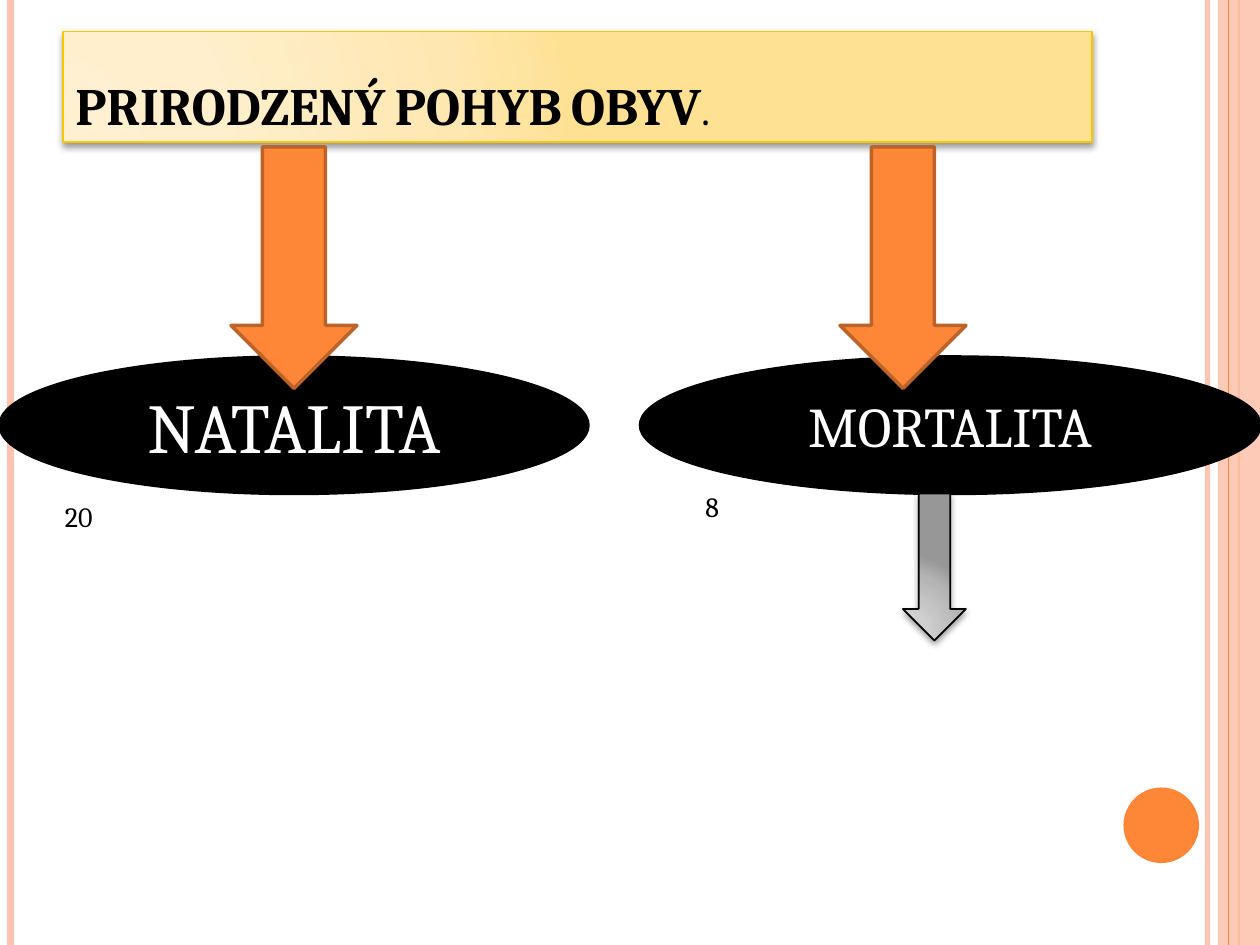
import pptx
import pptx.util
import pptx.dml.color
import pptx.enum.shapes
import pptx.enum.text
import pptx.oxml
import pptx.oxml.ns

RGB = pptx.dml.color.RGBColor
SHAPE = pptx.enum.shapes.MSO_SHAPE
ANCHOR = pptx.enum.text.MSO_ANCHOR
ALIGN = pptx.enum.text.PP_ALIGN
qn = pptx.oxml.ns.qn

ORANGE = RGB(0xFE, 0x86, 0x37)
DARK_ORANGE = RGB(0xBC, 0x63, 0x29)
PEACH = RGB(0xFE, 0xC3, 0xAE)
GOLD = RGB(0xF8, 0xC7, 0x00)
BLACK = RGB(0, 0, 0)
WHITE = RGB(0xFF, 0xFF, 0xFF)
CREAM = [(0, RGB(0xFF, 0xF0, 0xD1)), (30, RGB(0xFF, 0xEF, 0xCC)),
         (75, RGB(0xFF, 0xE7, 0xB1)), (100, RGB(0xFF, 0xE1, 0x93))]
GREY = [(0, RGB(0xD3, 0xD3, 0xD3)), (30, RGB(0xCF, 0xCF, 0xCF)),
        (75, RGB(0xB4, 0xB4, 0xB4)), (100, RGB(0x97, 0x97, 0x97))]

FONT = "Cambria"
COLS, ROWS = 120, 90
UNIT = pptx.util.Inches(10) / COLS
NS = 'xmlns:a="http://schemas.openxmlformats.org/drawingml/2006/main"'


def grid(*lengths):
    return [round(v * UNIT) for v in lengths]


def xml(text):
    return pptx.oxml.parse_xml(text)


def set_alpha(fill_owner, percent):
    color = next(fill_owner.iter(qn("a:srgbClr")))
    color.append(xml(f'<a:alpha {NS} val="{percent * 1000}"/>'))


def add_shape(s, kind, box, fill=None, line=None, width=1):
    sp = s.shapes.add_shape(kind, *grid(*box))
    sp.shadow.inherit = False
    if fill is not None:
        sp.fill.solid()
        sp.fill.fore_color.rgb = fill
    if line is None:
        sp.line.fill.background()
    else:
        sp.line.color.rgb = line
        sp.line.width = pptx.util.Pt(width)
    return sp


def add_glossy(s, kind, box, stops, line):
    sp = add_shape(s, kind, box, None, line)
    marks = "".join(f'<a:gs pos="{pos * 1000}"><a:srgbClr val="{color}"/></a:gs>'
                    for pos, color in stops)
    spPr = sp._element.spPr
    spPr.find(qn("a:prstGeom")).addnext(xml(
        f'<a:gradFill {NS} rotWithShape="1"><a:gsLst>{marks}</a:gsLst><a:path path="circle">'
        '<a:fillToRect l="5000" t="100000" r="120000" b="10000"/></a:path></a:gradFill>'))
    spPr.find(qn("a:effectLst")).append(xml(
        f'<a:outerShdw {NS} blurRad="50800" dist="25400" dir="5400000" rotWithShape="0">'
        '<a:srgbClr val="000000"><a:alpha val="40000"/></a:srgbClr></a:outerShdw>'))
    return sp


def add_rule(s, box, col, color, width, alpha=None):
    x, y, w, h = box
    c = s.shapes.add_connector(pptx.enum.shapes.MSO_CONNECTOR.STRAIGHT,
                               *grid(x + col, y, x + col, y + h))
    c.line.color.rgb = color
    c.line.width = pptx.util.Pt(width)
    spPr = c._element.spPr
    spPr.append(xml(f"<a:effectLst {NS}/>"))
    if alpha:
        set_alpha(spPr, alpha)


def style_run(r, size, color, bold=False):
    r.font.name = FONT
    r.font.size = pptx.util.Pt(size)
    r.font.color.rgb = color
    r.font.bold = bold


def add_frame(s, box):
    x, y, w, h = box
    add_rule(s, box, w - 5, PEACH, 3, 93)
    add_rule(s, box, 1, PEACH, 4.5)
    add_rule(s, box, w - 2, ORANGE, 1.5)
    band = add_shape(s, SHAPE.RECTANGLE, (x + w - 4, y, 4, h), PEACH)
    set_alpha(band._element.spPr, 87)
    add_rule(s, box, w - 3, ORANGE, 0.75)
    add_shape(s, SHAPE.OVAL, (x + w - 13, y + h - 15, 7.2, 7.2), ORANGE)


def add_title(s, box, text, ending):
    tf = add_glossy(s, SHAPE.RECTANGLE, box, CREAM, GOLD).text_frame
    tf.word_wrap = True
    tf.vertical_anchor = ANCHOR.BOTTOM
    p = tf.paragraphs[0]
    p.alignment = ALIGN.LEFT
    for part, bold in ((text, True), (ending, False)):
        r = p.add_run()
        r.text = part
        style_run(r, 30, BLACK, bold)
        r.font._element.set("cap", "small")


def add_term(s, box, text, size):
    tf = add_shape(s, SHAPE.OVAL, box, BLACK, BLACK, 2).text_frame
    tf.word_wrap = True
    tf.vertical_anchor = ANCHOR.MIDDLE
    p = tf.paragraphs[0]
    p.text = text
    p.alignment = ALIGN.CENTER
    style_run(p.runs[0], size, WHITE)


def add_number(s, box, text):
    tf = s.shapes.add_textbox(*grid(*box)).text_frame
    tf.word_wrap = False
    tf.auto_size = pptx.enum.text.MSO_AUTO_SIZE.SHAPE_TO_FIT_TEXT
    tf.text = text
    style_run(tf.paragraphs[0].runs[0], 16, BLACK)


def main():
    prs = pptx.Presentation()
    prs.slide_width, prs.slide_height = grid(COLS, ROWS)
    s = prs.slides.add_slide(prs.slide_layouts[6])
    add_frame(s, (0, 0, COLS, ROWS))
    add_title(s, (6, 3, 98, 10.5), "PRIRODZENÝ POHYB OBYV", ".")
    add_term(s, (0, 34, 56, 13), "NATALITA", 40)
    add_term(s, (61, 34, 59, 13), "MORTALITA", 32)
    for col in (22, 80):
        add_shape(s, SHAPE.DOWN_ARROW, (col, 14, 12, 23), ORANGE, DARK_ORANGE, 2)
    add_number(s, (5, 47, 5.4, 4.4), "20")
    add_number(s, (66, 46, 4, 4.4), "8")
    add_glossy(s, SHAPE.DOWN_ARROW, (86, 47, 6, 14), GREY, BLACK)
    prs.save("out.pptx")


if __name__ == "__main__":
    main()
